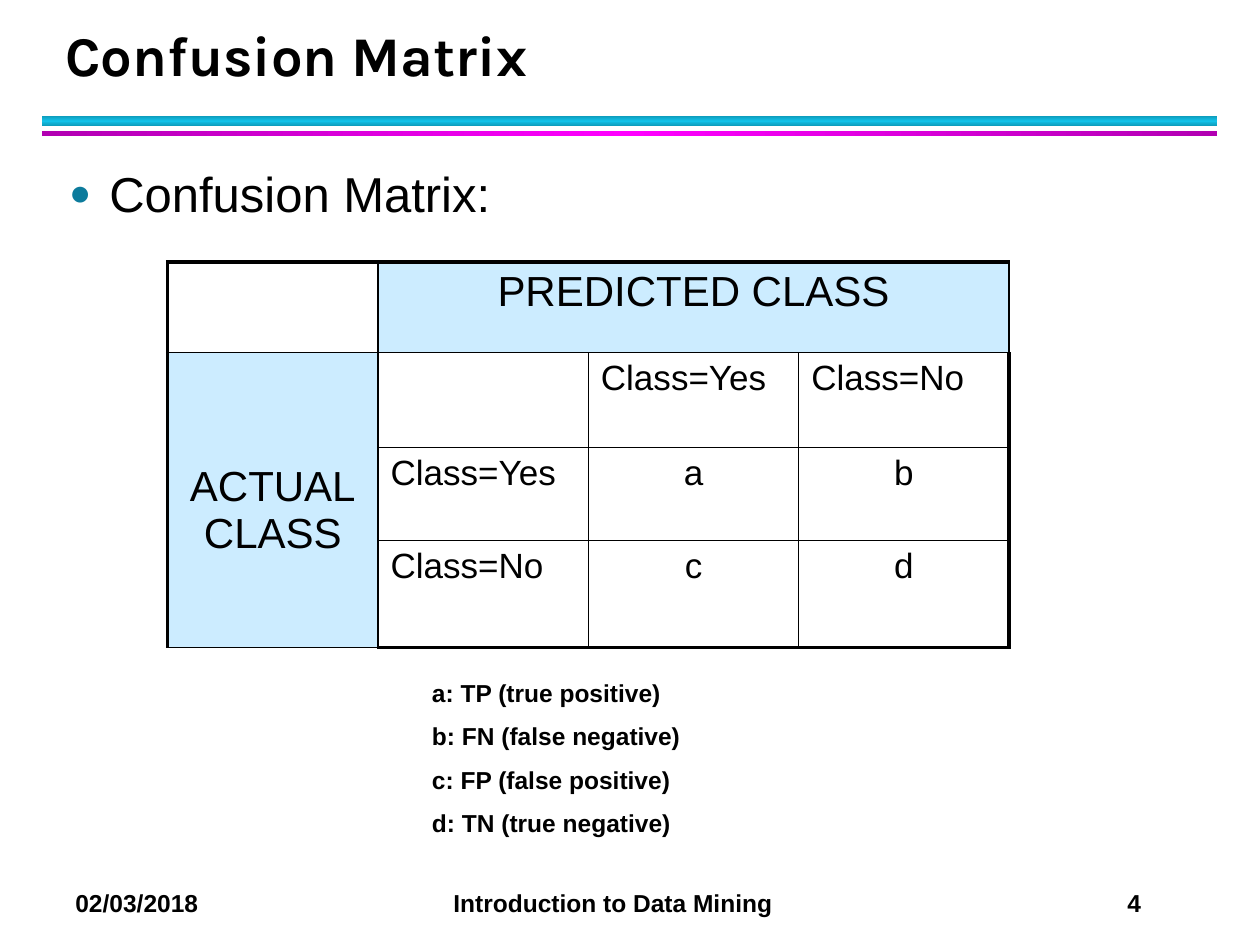
import copy
import pptx
import pptx.util
import pptx.oxml
import pptx.oxml.ns
import pptx.dml.color
import pptx.enum.shapes
import pptx.enum.text
from pptx.util import Inches, Pt

COLORS = {
    "ink": "000000", "cell": "CCECFF", "dot": "0C7B9C",
    "teal": "0E9BBA", "cyan": "12C2E9", "plum": "B200B2", "pink": "FF00FF",
}
qn = pptx.oxml.ns.qn
rgb = pptx.dml.color.RGBColor.from_string
align = pptx.enum.text.PP_ALIGN
NS = pptx.oxml.ns.nsdecls("a")


def style(para, size, name="Arial", bold=False, before=0, after=0):
    para.font.size = Pt(size)
    para.font.name = name
    para.font.bold = bold
    para.font.color.rgb = rgb(COLORS["ink"])
    para.space_before = Pt(before)
    para.space_after = Pt(after)


def add_box(left, top, width, height, lines, size, **look):
    frame = slide.shapes.add_textbox(
        Inches(left), Inches(top), Inches(width), Inches(height)).text_frame
    frame.word_wrap = True
    frame.text = "\n".join(lines)
    for para in frame.paragraphs:
        style(para, size, **look)
    return frame


deck = pptx.Presentation()
deck.slide_width, deck.slide_height = Inches(10), Inches(7.5)
slide = deck.slides.add_slide(deck.slide_layouts[5])

# Gradient rules under the title
for top, height, edge, mid, angle in (
        (0.92, 0.08, "teal", "cyan", 90), (1.04, 0.04, "plum", "pink", 0)):
    bar = slide.shapes.add_shape(
        pptx.enum.shapes.MSO_SHAPE.RECTANGLE,
        Inches(0.33), Inches(top), Inches(9.33), Inches(height))
    bar.shadow.inherit = False
    bar.line.fill.background()
    bar.fill.gradient()
    bar.fill.gradient_angle = angle
    stops = bar._element.spPr.find(".//" + qn("a:gsLst"))
    stops.insert(1, copy.deepcopy(stops[0]))
    for stop, tone, spot in zip(
            bar.fill.gradient_stops, (edge, mid, edge), (0, 0.5, 1)):
        stop.color.rgb = rgb(COLORS[tone])
        stop.position = spot

# Title
title = slide.shapes.title
title.left, title.top = Inches(0.42), Inches(0.17)
title.width, title.height = Inches(9.06), Inches(0.58)
title.text_frame.text = "Confusion Matrix"
title.text_frame.auto_size = pptx.enum.text.MSO_AUTO_SIZE.NONE
title.text_frame.vertical_anchor = pptx.enum.text.MSO_ANCHOR.BOTTOM
head = title.text_frame.paragraphs[0]
style(head, 32, name="Karla", bold=True)
head.alignment = align.LEFT
head.line_spacing = Pt(36)

# Bullet line
body = add_box(0.45, 1.25, 9.1, 5.67, ["Confusion Matrix:"], 28, before=2.8, after=4)
props = body.paragraphs[0]._p.get_or_add_pPr()
props.set("marL", str(Inches(0.32)))
props.set("indent", str(-Inches(0.32)))
for xml in (f'<a:buClr {NS}><a:srgbClr val="{COLORS["dot"]}"/></a:buClr>',
            f'<a:buSzPct {NS} val="75000"/>',
            f'<a:buFont {NS} typeface="Arial"/>',
            f'<a:buChar {NS} char="●"/>'):
    props.append(pptx.oxml.parse_xml(xml))

# Matrix
rows = [
    ["", "PREDICTED CLASS", "", ""],
    ["ACTUAL\vCLASS", "", "Class=Yes", "Class=No"],
    ["", "Class=Yes", "a", "b"],
    ["", "Class=No", "c", "d"],
]
table = slide.shapes.add_table(
    4, 4, Inches(1.33), Inches(2.08), Inches(6.67), Inches(3.06)).table
table.first_row = table.horz_banding = False
for col in table.columns:
    col.width = Inches(1.67)
for row, height in zip(table.rows, (0.72, 0.75, 0.74, 0.85)):
    row.height = Inches(height)
table.cell(0, 1).merge(table.cell(0, 3))
table.cell(1, 0).merge(table.cell(3, 0))

for r, row in enumerate(rows):
    for c, text in enumerate(row):
        cell = table.cell(r, c)
        # Heavy outer edges, thin inner ones
        edges = {"L": c == 0, "R": c == 3, "T": r == 0, "B": r == 3}
        for side, outer in edges.items():
            width = Pt(2.25 if outer else 1)
            cell._tc.get_or_add_tcPr().append(pptx.oxml.parse_xml(
                f'<a:ln{side} {NS} w="{width}"><a:solidFill>'
                f'<a:srgbClr val="{COLORS["ink"]}"/></a:solidFill></a:ln{side}>'))
        label = text.isupper()
        if label:
            cell.fill.solid()
            cell.fill.fore_color.rgb = rgb(COLORS["cell"])
        else:
            cell.fill.background()
        if text:
            cell.text = text
            para = cell.text_frame.paragraphs[0]
            style(para, 24 if label else 20, before=2, after=4)
            para.alignment = align.CENTER if label or len(text) == 1 else align.LEFT
table.cell(1, 0).margin_top = Inches(0.88)

# Legend
add_box(3.33, 5.33, 2.42, 1.38, [
    "a: TP (true positive)", "b: FN (false negative)",
    "c: FP (false positive)", "d: TN (true negative)",
], 14, bold=True, before=8)

# Footer, spaced by tab stops
foot = add_box(0.5, 7, 9.33, 0.34,
               ["02/03/2018\tIntroduction to Data Mining\t4"], 14, bold=True)
tabs = "".join(f'<a:tab pos="{Inches(spot)}" algn="l"/>' for spot in (3, 8.35))
foot.paragraphs[0]._p.get_or_add_pPr().append(
    pptx.oxml.parse_xml(f"<a:tabLst {NS}>{tabs}</a:tabLst>"))

deck.save("out.pptx")
